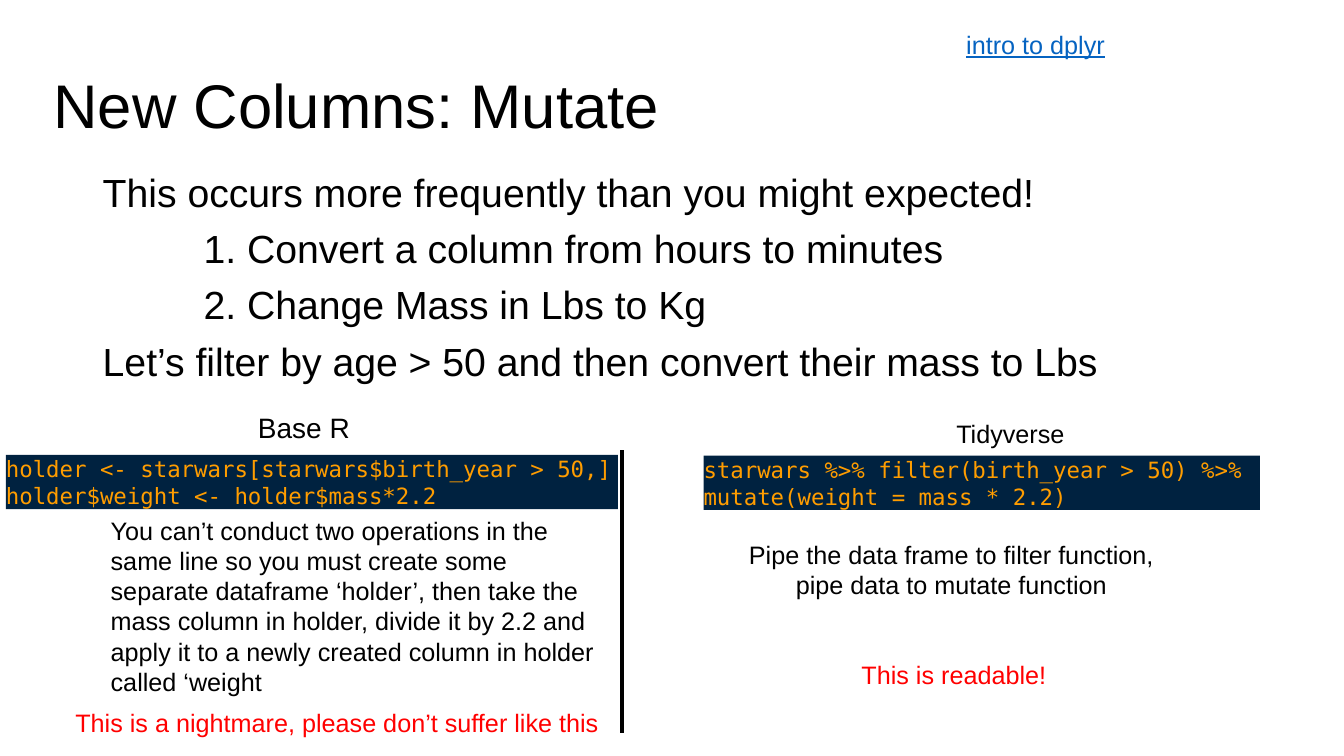
from lxml.etree import SubElement
from pptx import Presentation
from pptx.dml.color import RGBColor
from pptx.enum.shapes import MSO_CONNECTOR, MSO_SHAPE
from pptx.enum.text import MSO_ANCHOR, MSO_AUTO_SIZE, PP_ALIGN
from pptx.oxml.ns import qn
from pptx.util import Cm, Pt

BLACK = RGBColor(0x00, 0x00, 0x00)
RED = RGBColor(0xFF, 0x00, 0x00)
LINK_BLUE = RGBColor(0x05, 0x63, 0xC1)
CODE_NAVY = RGBColor(0x00, 0x22, 0x40)
CODE_ORANGE = RGBColor(0xFF, 0x9D, 0x00)


class SlideBuilder:
    text_font = "Arial"
    code_font = "DejaVu Sans Mono"

    def __init__(self, presentation):
        self.slide = presentation.slides.add_slide(presentation.slide_layouts[5])

    def format_runs(self, paragraph, font_name, size, color, underline=None):
        for run in paragraph.runs:
            run.font.name = font_name
            run.font.size = Pt(size)
            run.font.color.rgb = color
            run.font.underline = underline

    def title(self, text, left, top, width, height):
        title = self.slide.shapes.title
        title.left, title.top = Cm(left), Cm(top)
        title.width, title.height = Cm(width), Cm(height)
        title.text_frame.text = text
        title.text_frame.auto_size = MSO_AUTO_SIZE.NONE
        title.text_frame.vertical_anchor = MSO_ANCHOR.MIDDLE
        paragraph = title.text_frame.paragraphs[0]
        paragraph.alignment = PP_ALIGN.LEFT
        paragraph.line_spacing = 0.9
        self.format_runs(paragraph, self.text_font, 44, BLACK)

    def text(self, text, left, top, width, height, size=18, color=BLACK,
             alignment=PP_ALIGN.LEFT, underline=None):
        shape = self.slide.shapes.add_textbox(Cm(left), Cm(top), Cm(width), Cm(height))
        shape.text_frame.word_wrap = True
        shape.text_frame.text = text
        for paragraph in shape.text_frame.paragraphs:
            paragraph.alignment = alignment
            self.format_runs(paragraph, self.text_font, size, color, underline)
        return shape

    def outline(self, entries, left, top, width, height):
        text = "\n".join(entry for entry, indent in entries)
        shape = self.text(text, left, top, width, height, size=28)
        for index, paragraph in enumerate(shape.text_frame.paragraphs):
            paragraph.line_spacing = 0.9
            paragraph.space_before = Pt(10 if index else 0)
            paragraph._p.get_or_add_pPr().set("marL", str(Cm(entries[index][1])))

    def code(self, text, left, top, width, height):
        shape = self.slide.shapes.add_shape(
            MSO_SHAPE.RECTANGLE, Cm(left), Cm(top), Cm(width), Cm(height))
        shape.shadow.inherit = False
        shape.fill.solid()
        shape.fill.fore_color.rgb = CODE_NAVY
        shape.line.fill.background()
        frame = shape.text_frame
        frame.margin_left = frame.margin_right = frame.margin_top = frame.margin_bottom = 0
        frame.word_wrap = True
        frame.vertical_anchor = MSO_ANCHOR.MIDDLE
        frame.text = text
        for paragraph in frame.paragraphs:
            paragraph.alignment = PP_ALIGN.LEFT
            self.format_runs(paragraph, self.code_font, 16, CODE_ORANGE)

    def divider(self, x, top, bottom):
        connector = self.slide.shapes.add_connector(
            MSO_CONNECTOR.STRAIGHT, Cm(x), Cm(bottom), Cm(x), Cm(top))
        connector.line.color.rgb = BLACK
        connector.line.width = Pt(3)
        SubElement(connector._element.spPr, qn("a:effectLst"))


def main():
    presentation = Presentation()
    presentation.slide_width = Cm(33.87)
    presentation.slide_height = Cm(19.05)
    builder = SlideBuilder(presentation)

    builder.title("New Columns: Mutate", 1.09, 0.89, 31.7, 3.68)
    builder.outline([
        ("This occurs more frequently than you might expected!", 0),
        ("1. Convert a column from hours to minutes", 2.54),
        ("2. Change Mass in Lbs to Kg", 2.54),
        ("Let’s filter by age > 50 and then convert their mass to Lbs", 0),
    ], 2.34, 4.24, 29.21, 12.09)
    builder.divider(15.67, 11.33, 18.47)

    builder.text("Base R", 6.25, 10.21, 3.23, 1.12, size=20)
    builder.code("holder <- starwars[starwars$birth_year > 50,]\n"
                 "holder$weight <- holder$mass*2.2", 0.15, 11.46, 15.42, 1.37)
    builder.text("You can’t conduct two operations in the same line so you must create "
                 "some separate dataframe ‘holder’, then take the mass column in holder, "
                 "divide it by 2.2 and apply it to a newly created column in holder "
                 "called ‘weight", 2.54, 12.85, 13.13, 4.88)
    builder.text("This is a nightmare, please don’t suffer like this",
                 1.65, 17.7, 14.05, 1.02, color=RED)

    builder.text("Tidyverse", 23.85, 10.41, 3.48, 1.02)
    builder.code("starwars %>% filter(birth_year > 50) %>% mutate(weight = mass * 2.2)",
                 17.73, 11.48, 14.02, 1.37)
    builder.text("Pipe the data frame to filter function, pipe data to mutate function",
                 17.98, 13.46, 11.99, 1.8, alignment=PP_ALIGN.CENTER)
    builder.text("This is readable!", 21.46, 16.48, 5.49, 1.02, color=RED)
    builder.text("intro to dplyr", 24.1, 0.61, 4.11, 1.02, color=LINK_BLUE, underline=True)

    presentation.save("out.pptx")


if __name__ == "__main__":
    main()
